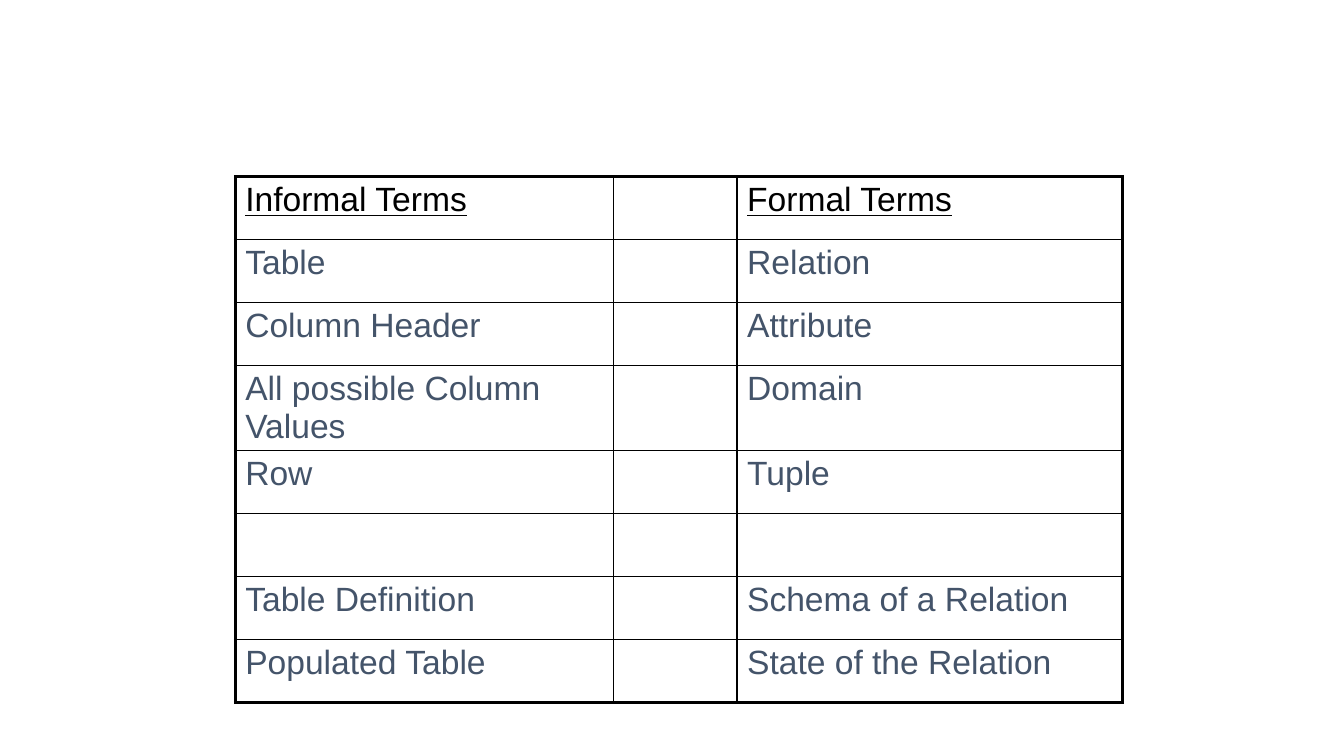
from lxml.etree import SubElement
from pptx import Presentation
from pptx.oxml.ns import qn
from pptx.dml.color import RGBColor
from pptx.util import Pt

COLORS = {"line": "000000", "head": "000000", "body": "44546A"}
THICK, THIN = 2.25, 1
WIDTHS = (270.5, 88, 275.5)
ROW = 45
TERMS = [
    ("Informal Terms", "Formal Terms"),
    ("Table", "Relation"),
    ("Column Header", "Attribute"),
    ("All possible Column Values", "Domain"),
    ("Row", "Tuple"),
    ("", ""),
    ("Table Definition", "Schema of a Relation"),
    ("Populated Table", "State of the Relation"),
]


def add_edge(cell, side, width):
    props = cell._tc.get_or_add_tcPr()
    line = SubElement(props, qn("a:ln" + side), w=str(Pt(width)))
    fill = SubElement(line, qn("a:solidFill"))
    SubElement(fill, qn("a:srgbClr"), val=COLORS["line"])


def set_text(cell, text, head):
    par = cell.text_frame.paragraphs[0]
    par.text = text
    par.font.size = Pt(24)
    for run in par.runs:
        font = run.font
        font.name = "Arial"
        font.size = Pt(24)
        font.bold = False
        font.underline = head
        font.color.rgb = RGBColor.from_string(COLORS["head" if head else "body"])


def add_terms(slide):
    last, end = len(TERMS) - 1, len(WIDTHS) - 1
    frame = slide.shapes.add_table(
        len(TERMS), len(WIDTHS), Pt(168), Pt(126), Pt(sum(WIDTHS)), Pt(ROW * len(TERMS)))
    table = frame.table
    table.first_row = table.horz_banding = False
    for col, width in zip(table.columns, WIDTHS):
        col.width = Pt(width)

    for r, (plain, formal) in enumerate(TERMS):
        table.rows[r].height = Pt(ROW)
        for c, text in enumerate((plain, "", formal)):
            cell = table.cell(r, c)
            # Thick outer frame, thin inner grid
            outer = {"L": c == 0, "R": c == end, "T": r == 0, "B": r == last}
            for side, thick in outer.items():
                add_edge(cell, side, THICK if thick else THIN)
            cell.fill.background()
            set_text(cell, text, r == 0)


def main():
    deck = Presentation()
    deck.slide_width, deck.slide_height = Pt(960), Pt(540)
    # Blank layout: the slide holds only the table
    slide = deck.slides.add_slide(deck.slide_layouts[6])
    add_terms(slide)
    deck.save("out.pptx")


main()
